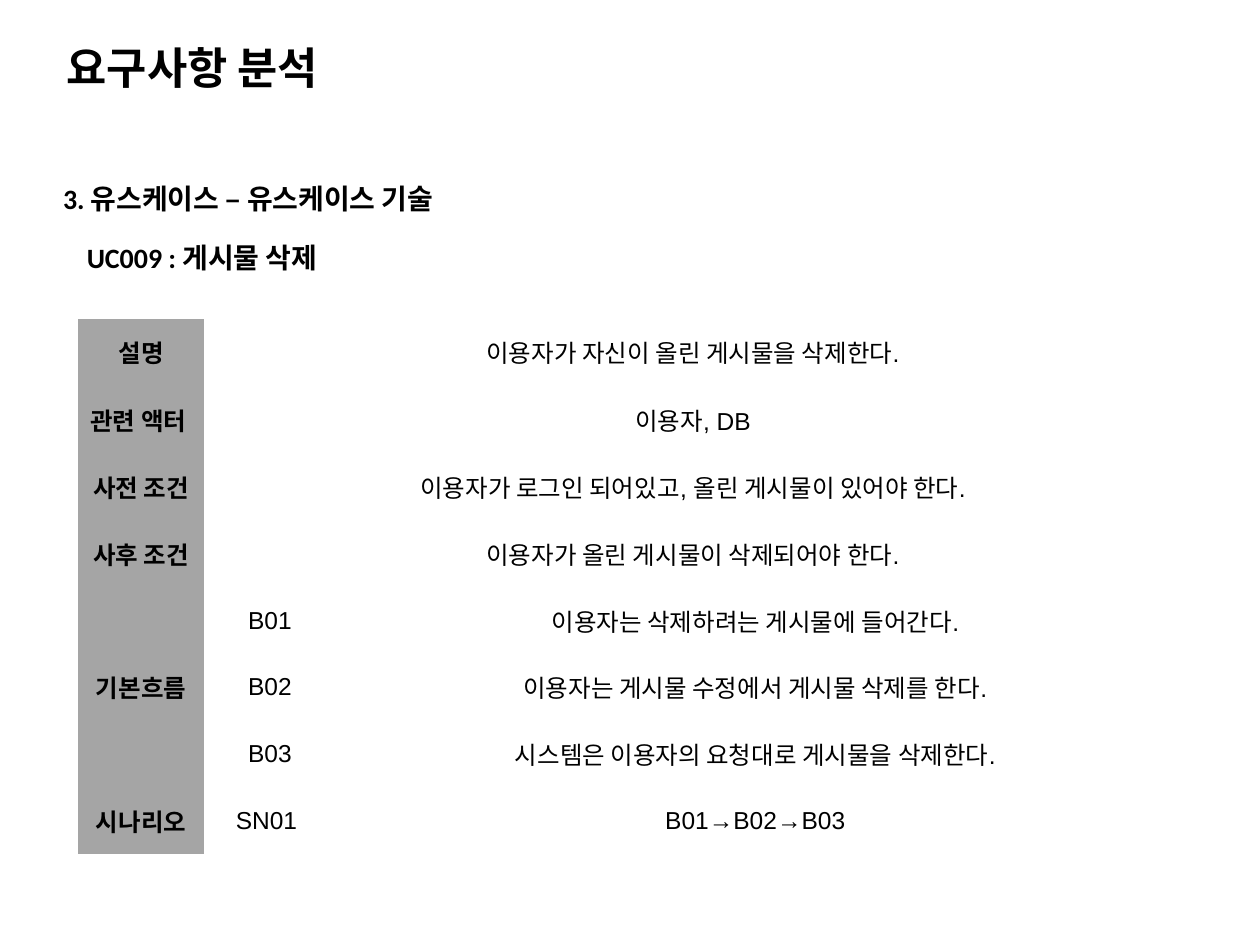
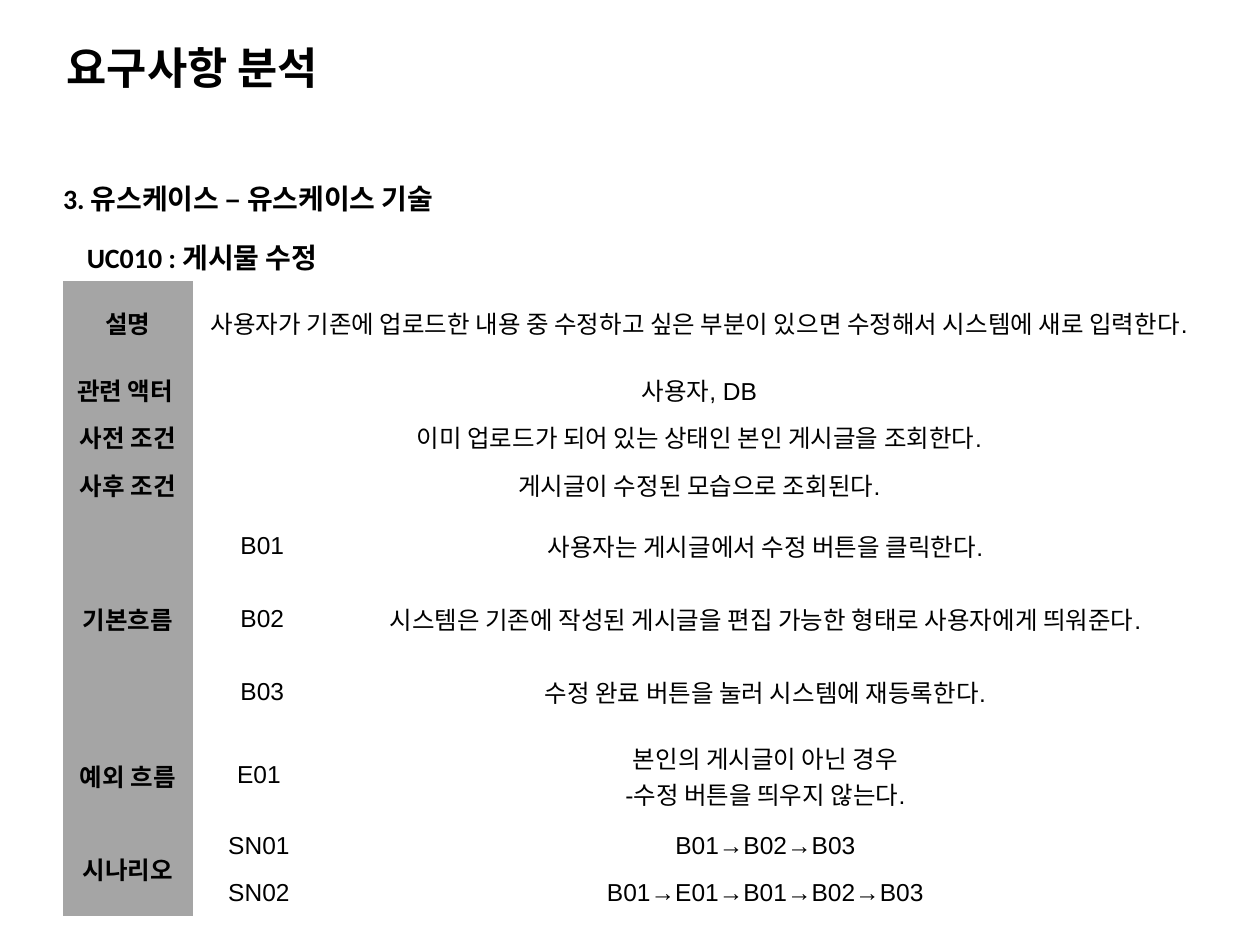
import pptx
import pptx.dml.color
import pptx.enum.text
import pptx.oxml.ns
import pptx.util

Inches, Pt = pptx.util.Inches, pptx.util.Pt
ALIGN = pptx.enum.text.PP_ALIGN
ANCHOR = pptx.enum.text.MSO_ANCHOR
AUTO_SIZE = pptx.enum.text.MSO_AUTO_SIZE

TITLE = "요구사항 분석"
SECTION = "3. 유스케이스 – 유스케이스 기술"

# Each group is (label, row height, rows); a row is one text or (step, line, ...).
USE_CASES = [
    {
        "heading": "UC009 : 게시물 삭제",
        "corner": (0.62, 2.53),
        "columns": (1, 0.99, 6.77),
        "groups": [
            ("설명", 0.53, ["이용자가 자신이 올린 게시물을 삭제한다."]),
            ("관련 액터 ", 0.54, ["이용자, DB"]),
            ("사전 조건", 0.53, ["이용자가 로그인 되어있고, 올린 게시물이 있어야 한다."]),
            ("사후 조건", 0.53, ["이용자가 올린 게시물이 삭제되어야 한다."]),
            ("기본흐름", 0.53, [
                (" B01", "이용자는 삭제하려는 게시물에 들어간다."),
                (" B02", "이용자는 게시물 수정에서 게시물 삭제를 한다."),
                (" B03", "시스템은 이용자의 요청대로 게시물을 삭제한다."),
            ]),
            ("시나리오", 0.53, [("SN01", "B01→B02→B03")]),
        ],
    },
    {
        "heading": "UC010 : 게시물 수정",
        "corner": (0.5, 2.23),
        "columns": (1.03, 1.05, 6.99),
        "groups": [
            ("설명", 0.67, ["사용자가 기존에 업로드한 내용 중 수정하고 싶은 부분이 있으면 "
                          "수정해서 시스템에 새로 입력한다."]),
            ("관련 액터 ", 0.38, ["사용자, DB"]),
            ("사전 조건", 0.38, ["이미 업로드가 되어 있는 상태인 본인 게시글을 조회한다."]),
            ("사후 조건", 0.38, ["게시글이 수정된 모습으로 조회된다."]),
            ("기본흐름", 0.58, [
                (" B01", "사용자는 게시글에서 수정 버튼을 클릭한다."),
                (" B02", "시스템은 기존에 작성된 게시글을 편집 가능한 형태로 사용자에게 띄워준다."),
                (" B03", "수정 완료 버튼을 눌러 시스템에 재등록한다."),
            ]),
            ("예외 흐름", 0.75, [
                ("E01", "본인의 게시글이 아닌 경우", "-수정 버튼을 띄우지 않는다."),
            ]),
            ("시나리오", 0.37, [
                ("SN01", "B01→B02→B03"),
                ("SN02", "B01→E01→B01→B02→B03"),
            ]),
        ],
    },
]

COLORS = {"text": "000000", "label": "A5A5A5", "content": "FFFFFF"}
HEADING_FONT, TABLE_FONT = "Calibri", "Arial"
NO_GRID_STYLE = "{2D5ABB26-0587-4C30-8999-92F81FD0307C}"


def rgb(name):
    return pptx.dml.color.RGBColor.from_string(COLORS[name])


def add_run(paragraph, text, size, font, bold=True, align=ALIGN.LEFT):
    paragraph.alignment = align
    run = paragraph.add_run()
    run.text = text
    run.font.size, run.font.name, run.font.bold = Pt(size), font, bold
    run.font.color.rgb = rgb("text")


def place(shape, left, top, width, height):
    shape.left, shape.top = Inches(left), Inches(top)
    shape.width, shape.height = Inches(width), Inches(height)


def add_headings(slide, heading):
    title, section = slide.shapes.title, slide.placeholders[1]
    place(title, 0.43, 0.1, 8.74, 0.87)
    title.text_frame.vertical_anchor = ANCHOR.MIDDLE
    title.text_frame.auto_size = AUTO_SIZE.NONE
    add_run(title.text_frame.paragraphs[0], TITLE, 25, HEADING_FONT)

    place(section, 0.4, 1.39, 8.76, 0.63)
    section.text_frame.auto_size = AUTO_SIZE.NONE
    line = section.text_frame.paragraphs[0]
    add_run(line, SECTION, 16, HEADING_FONT)
    line.space_before = Pt(0)
    properties = line._p.get_or_add_pPr()
    properties.set("marL", str(Inches(0.38)))
    properties.set("indent", str(Inches(-0.38)))
    properties.append(pptx.oxml.parse_xml(
        f"<a:buNone {pptx.oxml.ns.nsdecls('a')}/>"))

    use_case = slide.shapes.add_textbox(
        Inches(0.59), Inches(1.86), Inches(2.52), Inches(0.37))
    use_case.text_frame.word_wrap = True
    use_case.text_frame.auto_size = AUTO_SIZE.SHAPE_TO_FIT_TEXT
    add_run(use_case.text_frame.paragraphs[0], heading, 16, HEADING_FONT)


def fill_cell(cell, lines, fill="content"):
    cell.fill.solid()
    cell.fill.fore_color.rgb = rgb(fill)
    cell.vertical_anchor = ANCHOR.MIDDLE
    cell.margin_left = cell.margin_right = Inches(0.07)
    cell.margin_top = cell.margin_bottom = 0
    for index, text in enumerate(lines):
        frame = cell.text_frame
        paragraph = frame.add_paragraph() if index else frame.paragraphs[0]
        add_run(paragraph, text, 14, TABLE_FONT, fill == "label", ALIGN.CENTER)


def add_use_case_table(slide, corner, columns, groups):
    row_heights = [height for _, height, rows in groups for _ in rows]
    left, top = corner
    table = slide.shapes.add_table(
        len(row_heights), len(columns), Inches(left), Inches(top),
        Inches(sum(columns)), Inches(sum(row_heights))).table
    table.first_row = table.horz_banding = False
    style = table._tbl.tblPr.find(pptx.oxml.ns.qn("a:tableStyleId"))
    style.text = NO_GRID_STYLE
    for column, width in zip(table.columns, columns):
        column.width = Inches(width)
    for row, height in zip(table.rows, row_heights):
        row.height = Inches(height)

    first = 0
    for label, _, rows in groups:
        last = first + len(rows) - 1
        for index, content in enumerate(rows, first):
            fill_cell(table.cell(index, 0), [label] if index == first else [], "label")
            if isinstance(content, str):
                fill_cell(table.cell(index, 1), [content])
                table.cell(index, 1).merge(table.cell(index, 2))
            else:
                step, *lines = content
                fill_cell(table.cell(index, 1), [step])
                fill_cell(table.cell(index, 2), lines)
        if last > first:
            table.cell(first, 0).merge(table.cell(last, 0))
        first = last + 1


def main():
    deck = pptx.Presentation()
    deck.slide_width, deck.slide_height = Inches(10), Inches(7.5)
    for use_case in USE_CASES:
        slide = deck.slides.add_slide(deck.slide_layouts[1])
        add_headings(slide, use_case["heading"])
        add_use_case_table(
            slide, use_case["corner"], use_case["columns"], use_case["groups"])
    deck.save("out.pptx")


if __name__ == "__main__":
    main()
